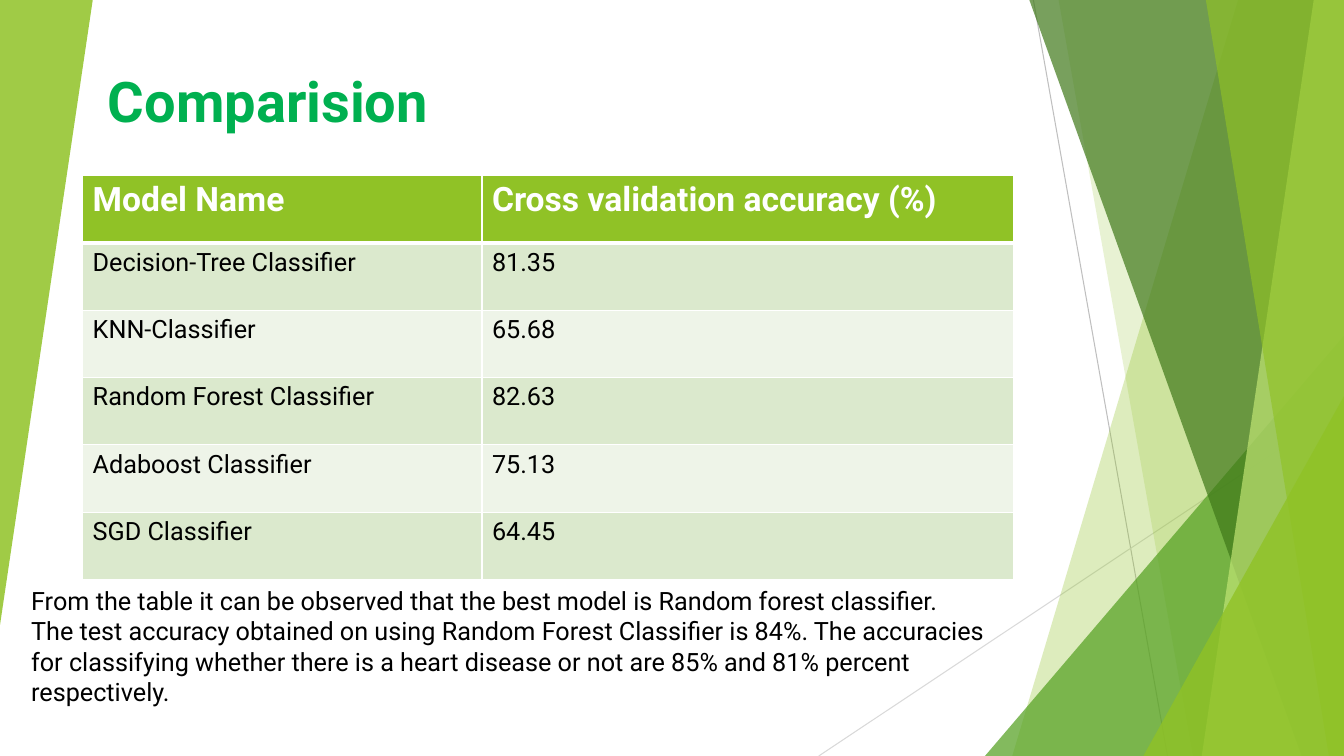
import pptx
import pptx.util
import pptx.dml.color
import pptx.enum.shapes
import pptx.enum.text
import pptx.oxml
import pptx.oxml.ns

Color = pptx.dml.color.RGBColor
Pt = pptx.util.Pt
SLIDE_W = pptx.util.Inches(13.33)
SLIDE_H = pptx.util.Inches(7.5)
FONT = "Roboto"

WHITE = Color(0xFF, 0xFF, 0xFF)
BLACK = Color(0x00, 0x00, 0x00)
TITLE = Color(0x00, 0xB0, 0x50)
LIME = Color(0x90, 0xC2, 0x26)
GREEN = Color(0x54, 0xA0, 0x21)
DARK = Color(0x3F, 0x78, 0x19)
PALE = Color(0xC0, 0xE4, 0x74)
BAND = Color(0xDB, 0xE9, 0xCD)
LIGHT = Color(0xEE, 0xF4, 0xE8)
GREY = Color(0xBF, 0xBF, 0xBF)
SILVER = Color(0xD9, 0xD9, 0xD9)

ROWS = [
    ("Model Name", "Cross validation accuracy (%)"),
    ("Decision-Tree Classifier", "81.35"),
    ("KNN-Classifier", "65.68"),
    ("Random Forest Classifier", "82.63"),
    ("Adaboost Classifier", "75.13"),
    ("SGD Classifier", "64.45"),
]
NOTES = [
    "From the table it can be observed that the best model is Random forest classifier.",
    "The test accuracy obtained on using Random Forest Classifier is 84%. The accuracies",
    "for classifying whether there is a heart disease or not are 85% and 81% percent",
    "respectively.",
]


def wide(share):
    """Length for a percentage of the slide's width."""
    return round(SLIDE_W * share / 100)


def high(share):
    """Length for a percentage of the slide's height."""
    return round(SLIDE_H * share / 100)


def box(left, top, width, height):
    return wide(left), high(top), wide(width), high(height)


def style_text(frame, size, color, bold=False):
    for para in frame.paragraphs:
        for run in para.runs:
            run.font.name = FONT
            run.font.size = Pt(size)
            run.font.bold = bold
            run.font.color.rgb = color


def tint(shape, color, alpha):
    """Fill a shape with a partly clear colour and no outline."""
    shape.shadow.inherit = False
    shape.line.fill.background()
    shape.fill.solid()
    shape.fill.fore_color.rgb = color
    tone = shape.fill._xPr.find(".//" + pptx.oxml.ns.qn("a:srgbClr"))
    node = pptx.oxml.parse_xml(
        f'<a:alpha {pptx.oxml.ns.nsdecls("a")} val="{alpha * 1000}"/>')
    tone.append(node)


def add_line(slide, start, end, color):
    line = slide.shapes.add_connector(
        pptx.enum.shapes.MSO_CONNECTOR.STRAIGHT,
        wide(start[0]), high(start[1]), wide(end[0]), high(end[1]))
    line.line.color.rgb = color
    line.line.width = Pt(0.75)
    line._element.spPr.append(pptx.oxml.parse_xml(
        f'<a:effectLst {pptx.oxml.ns.nsdecls("a")}/>'))


def add_panel(slide, top, foot, color, alpha):
    """Full-height panel at the right edge with a slanted left side."""
    form = slide.shapes.build_freeform(wide(top), 0)
    form.add_line_segments(
        [(SLIDE_W, 0), (SLIDE_W, SLIDE_H), (wide(foot), SLIDE_H)], close=True)
    tint(form.convert_to_shape(), color, alpha)


def add_wedge(slide, area, color, alpha, turn=0):
    wedge = slide.shapes.add_shape(
        pptx.enum.shapes.MSO_SHAPE.ISOSCELES_TRIANGLE, *box(*area))
    wedge.adjustments[0] = 1
    wedge.rotation = turn
    tint(wedge, color, alpha)


def add_decor(slide):
    add_line(slide, (76.89, 0), (86.87, 100), GREY)
    add_line(slide, (100, 53.73), (60.92, 100), SILVER)
    add_panel(slide, 92.12, 75.32, LIME, 30)
    add_panel(slide, 78.77, 88.75, LIME, 20)
    add_wedge(slide, (73.29, 44.4, 26.71, 55.6), GREEN, 72)
    add_panel(slide, 76.59, 96.85, DARK, 70)
    add_panel(slide, 97.75, 89.42, PALE, 70)
    add_panel(slide, 89.72, 98.87, LIME, 65)
    add_wedge(slide, (85.07, 52.4, 14.93, 47.6), LIME, 80)
    add_wedge(slide, (0, 0, 6.9, 82.67), LIME, 85, turn=180)


def set_edges(cell, top, bottom):
    """White cell borders; top and bottom widths are in points."""
    props = cell._tc.get_or_add_tcPr()
    for side, width in zip("LRTB", (1, 1, top, bottom)):
        props.append(pptx.oxml.parse_xml(
            f'<a:ln{side} {pptx.oxml.ns.nsdecls("a")} w="{Pt(width)}">'
            f'<a:solidFill><a:srgbClr val="{WHITE}"/></a:solidFill>'
            f'</a:ln{side}>'))


def add_scores(slide):
    table = slide.shapes.add_table(
        len(ROWS), 2, *box(6.15, 23.2, 69.24, 53.47)).table
    for col, share in zip(table.columns, (29.71, 39.53)):
        col.width = wide(share)
    for i, row in enumerate(ROWS):
        head = i == 0
        fill = LIME if head else BAND if i % 2 else LIGHT
        for j, text in enumerate(row):
            cell = table.cell(i, j)
            cell.text_frame.text = text
            style_text(cell.text_frame, 24 if head else 18,
                       WHITE if head else BLACK, head)
            set_edges(cell, 3 if i == 1 else 1, 3 if head else 1)
            cell.fill.solid()
            cell.fill.fore_color.rgb = fill


def set_title(slide):
    title = slide.shapes.title
    title.left, title.top, title.width, title.height = box(
        7.28, 8.13, 25.73, 10.27)
    frame = title.text_frame
    frame.text = "Comparision"
    frame.word_wrap = False
    frame.auto_size = pptx.enum.text.MSO_AUTO_SIZE.NONE
    frame.vertical_anchor = pptx.enum.text.MSO_ANCHOR.TOP
    frame.paragraphs[0].alignment = pptx.enum.text.PP_ALIGN.LEFT
    style_text(frame, 40, TITLE, True)


def add_notes(slide):
    frame = slide.shapes.add_textbox(
        *box(1.58, 76.8, 73.74, 17.47)).text_frame
    frame.word_wrap = True
    frame.text = "\n".join(NOTES)
    style_text(frame, 18, BLACK)


def main():
    deck = pptx.Presentation()
    deck.slide_width, deck.slide_height = SLIDE_W, SLIDE_H
    slide = deck.slides.add_slide(deck.slide_layouts.get_by_name("Title Only"))
    add_decor(slide)
    add_scores(slide)
    set_title(slide)
    add_notes(slide)
    deck.save("out.pptx")


if __name__ == "__main__":
    main()
